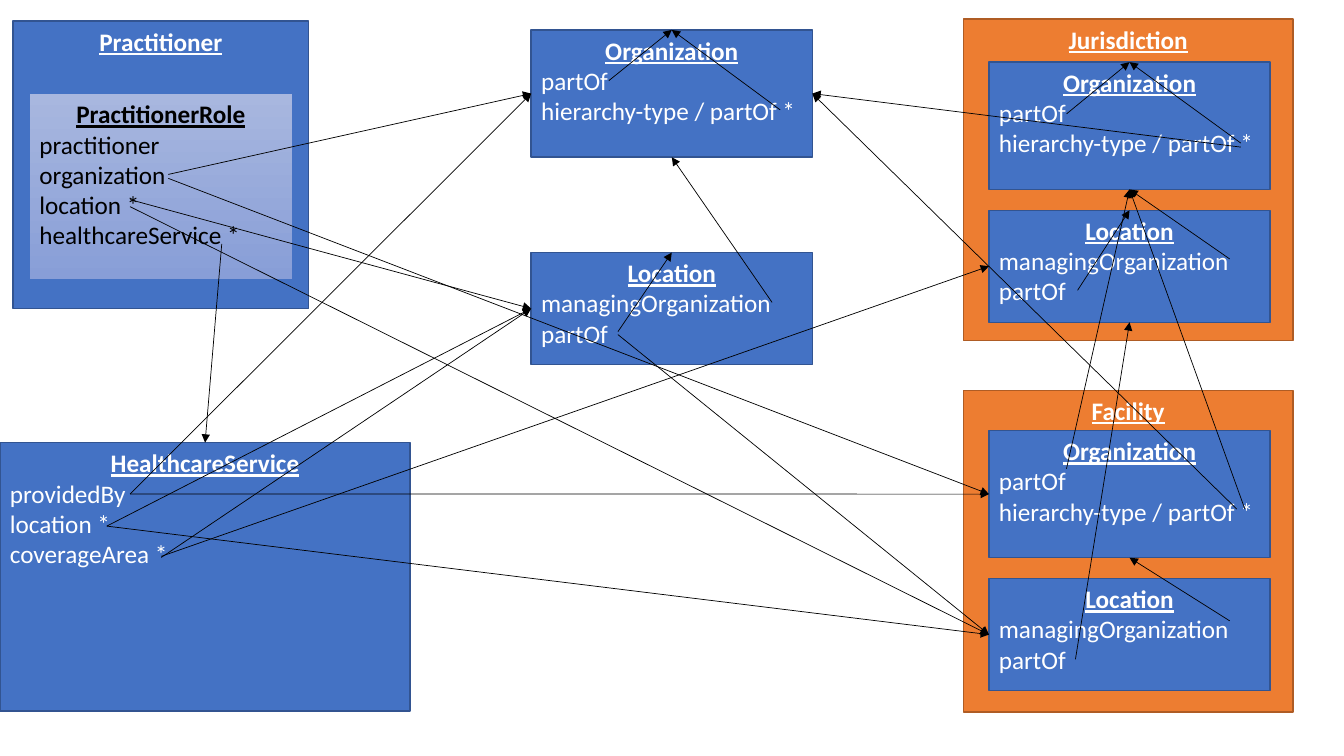
from dataclasses import dataclass

from lxml.etree import SubElement
from pptx import Presentation
from pptx.dml.color import RGBColor
from pptx.enum.shapes import MSO_CONNECTOR, MSO_SHAPE
from pptx.enum.text import MSO_ANCHOR, PP_ALIGN
from pptx.oxml.ns import qn
from pptx.shapes.autoshape import Shape
from pptx.util import Pt

WHITE = RGBColor(0xFF, 0xFF, 0xFF)
BLACK = RGBColor(0x00, 0x00, 0x00)
BLUE = RGBColor(0x44, 0x72, 0xC4)
DARK_BLUE = RGBColor(0x32, 0x54, 0x91)
ORANGE = RGBColor(0xED, 0x7D, 0x31)
DARK_ORANGE = RGBColor(0xAF, 0x5C, 0x24)
PALE_BLUE = RGBColor(0xA8, 0xB7, 0xDF)
SOFT_BLUE = RGBColor(0x88, 0x9E, 0xD7)

TOP, LEFT, BOTTOM, RIGHT = range(4)
FONT = {"name": "Calibri", "size": Pt(18)}
TITLE_FONT = {"bold": True, "underline": True}
FRAME_FORMAT = {"word_wrap": True, "vertical_anchor": MSO_ANCHOR.TOP}

ORGANIZATION_FIELDS = ("partOf", "hierarchy-type / partOf *")
LOCATION_FIELDS = ("managingOrganization", "partOf")


@dataclass(frozen=True)
class Box:
    key: str
    title: str
    left: float
    top: float
    width: float
    height: float
    fields: tuple[str, ...] = ()
    fills: tuple[RGBColor, ...] = (BLUE,)
    outline: RGBColor = DARK_BLUE
    outline_width: float = 1
    text_color: RGBColor = WHITE


@dataclass(frozen=True)
class Arrow:
    x: float
    y: float
    target: str
    side: int


def organization(key: str, left: float, top: float) -> Box:
    return Box(key, "Organization", left, top, 200.9, 90.9, ORGANIZATION_FIELDS)


def location(key: str, left: float, top: float) -> Box:
    return Box(key, "Location", left, top, 200.9, 80, LOCATION_FIELDS)


def panel(title: str, top: float, organization_top: float) -> list[Box]:
    """An orange panel holding an organization and a location."""
    left, inner_left = 688.2, 706.4
    return [
        Box(title, title, left, top, 235.4, 229.7, fills=(ORANGE,), outline=DARK_ORANGE),
        organization(f"{title} organization", inner_left, organization_top),
        location(f"{title} location", inner_left, organization_top + 105.8),
    ]


BOXES = [
    Box("practitioner", "Practitioner", 9.4, 15.1, 211, 205.2),
    Box("role", "PractitionerRole", 21, 67, 187.9, 132.5,
        ("practitioner", "organization", "location *", "healthcareService *"),
        (PALE_BLUE, SOFT_BLUE), BLUE, 0.5, BLACK),
    organization("organization", 379.4, 21.4),
    Box("service", "HealthcareService", 0, 316.2, 293, 191.6,
        ("providedBy", "location *", "coverageArea *")),
    location("location", 379.4, 180.4),
]
PANELS = [panel("Jurisdiction", 13.7, 44.4), panel("Facility", 278.8, 307.5)]

ARROWS = [
    Arrow(434.9, 57.6, "organization", TOP),
    Arrow(557.3, 78.5, "organization", TOP),
    Arrow(551.5, 216, "organization", BOTTOM),
    Arrow(441.4, 236.9, "location", TOP),
    Arrow(878.4, 443.5, "Facility organization", BOTTOM),
    Arrow(768.2, 470.9, "Jurisdiction location", BOTTOM),
    Arrow(761.8, 334.8, "Jurisdiction organization", BOTTOM),
    Arrow(883.4, 363.6, "organization", RIGHT),
    Arrow(878.4, 185, "Jurisdiction organization", BOTTOM),
    Arrow(769.7, 207.4, "Jurisdiction location", TOP),
    Arrow(761.8, 81.4, "Jurisdiction organization", TOP),
    Arrow(889.2, 363.6, "Jurisdiction organization", BOTTOM),
    Arrow(886.3, 102.2, "Jurisdiction organization", TOP),
    Arrow(886.3, 105.1, "organization", RIGHT),
    Arrow(92.9, 352.9, "Facility organization", LEFT),
    Arrow(92.9, 352.9, "organization", LEFT),
    Arrow(76.3, 375.8, "Facility location", LEFT),
    Arrow(76.3, 375.8, "location", LEFT),
    Arrow(115.2, 397.4, "Jurisdiction location", LEFT),
    Arrow(115.2, 398.2, "location", LEFT),
    Arrow(120.2, 124.6, "organization", LEFT),
    Arrow(120.2, 127.4, "Facility organization", LEFT),
    Arrow(92.9, 147.6, "Facility location", LEFT),
    Arrow(92.9, 142.6, "location", LEFT),
    Arrow(158.4, 174.2, "service", TOP),
    Arrow(441.4, 239, "Facility location", LEFT),
]


def apply(target: object, values: dict) -> None:
    for name, value in values.items():
        setattr(target, name, value)


def paint(shape: Shape, box: Box) -> None:
    """Fill with one colour, or with a gradient running downwards."""
    if len(box.fills) == 1:
        shape.fill.solid()
        shape.fill.fore_color.rgb = box.fills[0]
    else:
        shape.fill.gradient()
        shape.fill.gradient_angle = 270
        for stop, color in zip(shape.fill.gradient_stops, box.fills):
            stop.color.rgb = color
    shape.line.color.rgb = box.outline
    shape.line.width = Pt(box.outline_width)
    shape.shadow.inherit = False


def add_box(shapes, box: Box) -> Shape:
    shape = shapes.add_shape(MSO_SHAPE.RECTANGLE, Pt(box.left), Pt(box.top),
                             Pt(box.width), Pt(box.height))
    paint(shape, box)
    frame = shape.text_frame
    apply(frame, FRAME_FORMAT)
    for index, text in enumerate((box.title, *box.fields)):
        paragraph = frame.add_paragraph() if index else frame.paragraphs[0]
        paragraph.alignment = PP_ALIGN.LEFT if index else PP_ALIGN.CENTER
        run = paragraph.add_run()
        run.text = text
        apply(run.font, FONT if index else FONT | TITLE_FONT)
        run.font.color.rgb = box.text_color
    return shape


def add_arrow(shapes, arrow: Arrow, target: Shape) -> None:
    x, y = Pt(arrow.x), Pt(arrow.y)
    connector = shapes.add_connector(MSO_CONNECTOR.STRAIGHT, x, y, x, y)
    connector.end_connect(target, arrow.side)
    connector.line.color.rgb = BLACK
    connector.line.width = Pt(0.5)
    SubElement(connector.line._get_or_add_ln(), qn("a:tailEnd"), type="triangle")
    SubElement(connector._element.spPr, qn("a:effectLst"))


def main() -> None:
    presentation = Presentation()
    presentation.slide_width, presentation.slide_height = Pt(960), Pt(540)
    slide = presentation.slides.add_slide(presentation.slide_layouts[6])
    drawn = {box.key: add_box(slide.shapes, box) for box in BOXES}
    for boxes in PANELS:
        group = slide.shapes.add_group_shape()
        drawn |= {box.key: add_box(group.shapes, box) for box in boxes}
    for arrow in ARROWS:
        add_arrow(slide.shapes, arrow, drawn[arrow.target])
    presentation.save("out.pptx")


if __name__ == "__main__":
    main()
